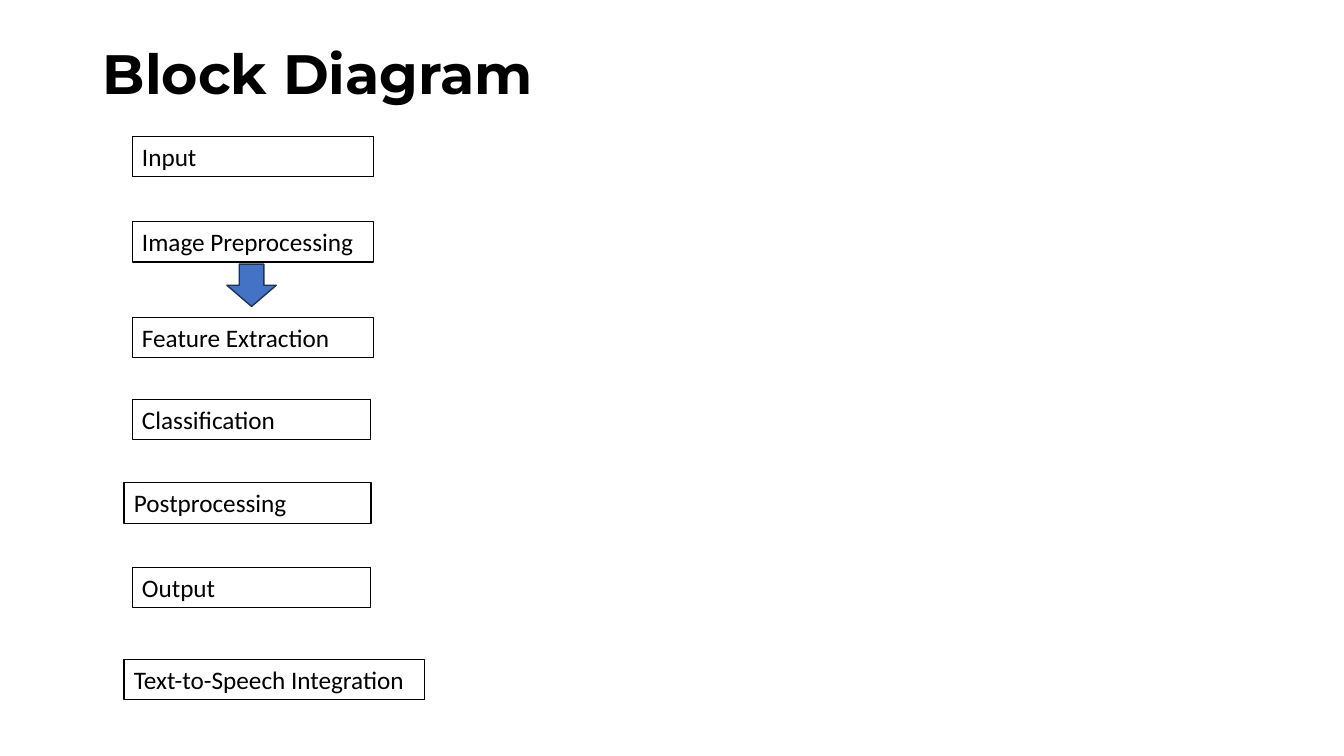
"""Build the block diagram slide of a text recognition pipeline."""
from pptx import Presentation
from pptx.dml.color import RGBColor
from pptx.enum.shapes import MSO_SHAPE as Preset
from pptx.enum.text import MSO_ANCHOR as Anchor, MSO_AUTO_SIZE as AutoSize, PP_ALIGN as Align
from pptx.util import Inches, Pt

BLACK = RGBColor(0x00, 0x00, 0x00)
BLUE = RGBColor(0x44, 0x72, 0xC4)
NAVY = RGBColor(0x1E, 0x32, 0x56)

STAGE_HEIGHT = 0.4
STAGES = [
    ("Input", 1.31, 1.35, 2.39),
    ("Image Preprocessing", 1.31, 2.2, 2.39),
    ("Feature Extraction", 1.31, 3.15, 2.39),
    ("Classification", 1.31, 3.96, 2.37),
    ("Postprocessing", 1.23, 4.79, 2.45),
    ("Output", 1.31, 5.63, 2.37),
    ("Text-to-Speech Integration", 1.23, 6.54, 2.98),
]


def add_run(paragraph, wording, font_name, size, bold=False):
    """Append one black run to a paragraph."""
    run = paragraph.add_run()
    run.text = wording
    run.font.name = font_name
    run.font.size = Pt(size)
    run.font.bold = bold
    run.font.color.rgb = BLACK


def set_title(slide, wording):
    """Place and format the title placeholder."""
    title = slide.shapes.title
    title.left, title.top = Inches(0.92), Inches(0.4)
    title.width, title.height = Inches(11.01), Inches(0.71)
    frame = title.text_frame
    frame.word_wrap = True
    frame.auto_size = AutoSize.NONE
    frame.vertical_anchor = Anchor.MIDDLE
    heading = frame.paragraphs[0]
    heading.alignment = Align.LEFT
    heading.line_spacing = 0.9
    add_run(heading, wording, "Montserrat", 39.6, bold=True)


def add_stage(slide, wording, left, top, width):
    """Add one outlined stage box with its label."""
    stage = slide.shapes.add_shape(
        Preset.RECTANGLE, Inches(left), Inches(top), Inches(width), Inches(STAGE_HEIGHT))
    stage.shadow.inherit = False
    stage.fill.background()
    stage.line.color.rgb = BLACK
    stage.line.width = Pt(0.75)
    frame = stage.text_frame
    frame.word_wrap = True
    frame.auto_size = AutoSize.SHAPE_TO_FIT_TEXT
    frame.vertical_anchor = Anchor.TOP
    label = frame.paragraphs[0]
    label.alignment = Align.LEFT
    add_run(label, wording, "Calibri", 18)


def add_down_arrow(slide, left, top, width, height):
    """Add a block arrow that leads to the next stage."""
    arrow = slide.shapes.add_shape(
        Preset.DOWN_ARROW, Inches(left), Inches(top), Inches(width), Inches(height))
    arrow.shadow.inherit = False
    arrow.fill.solid()
    arrow.fill.fore_color.rgb = BLUE
    arrow.line.color.rgb = NAVY
    arrow.line.width = Pt(1)


def main():
    """Build and save the slide."""
    deck = Presentation()
    deck.slide_width, deck.slide_height = Inches(13.33), Inches(7.5)
    slide = deck.slides.add_slide(deck.slide_layouts[5])
    set_title(slide, "Block Diagram")
    for stage in STAGES:
        add_stage(slide, *stage)
    add_down_arrow(slide, 2.25, 2.62, 0.49, 0.42)
    deck.save("out.pptx")


if __name__ == "__main__":
    main()
